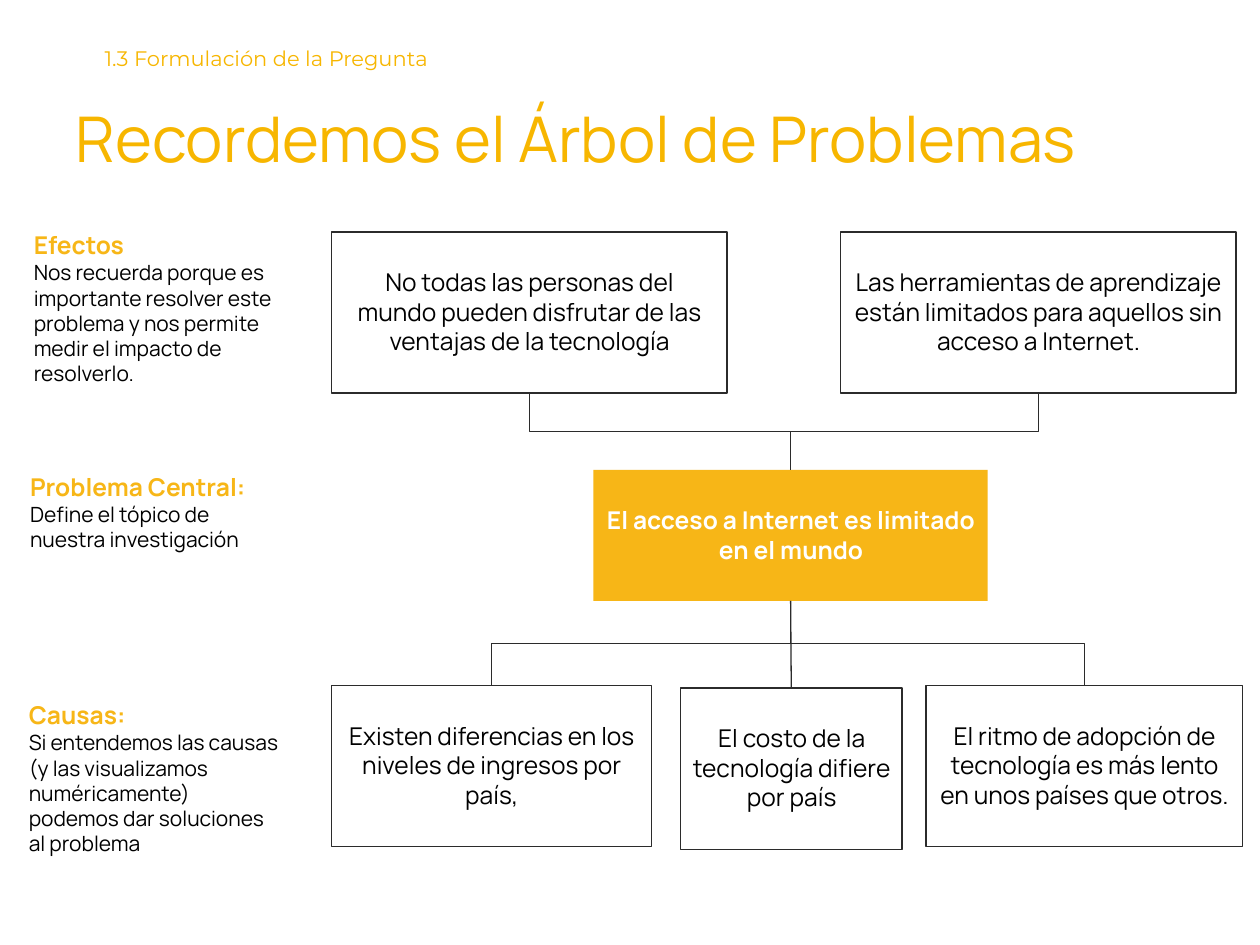
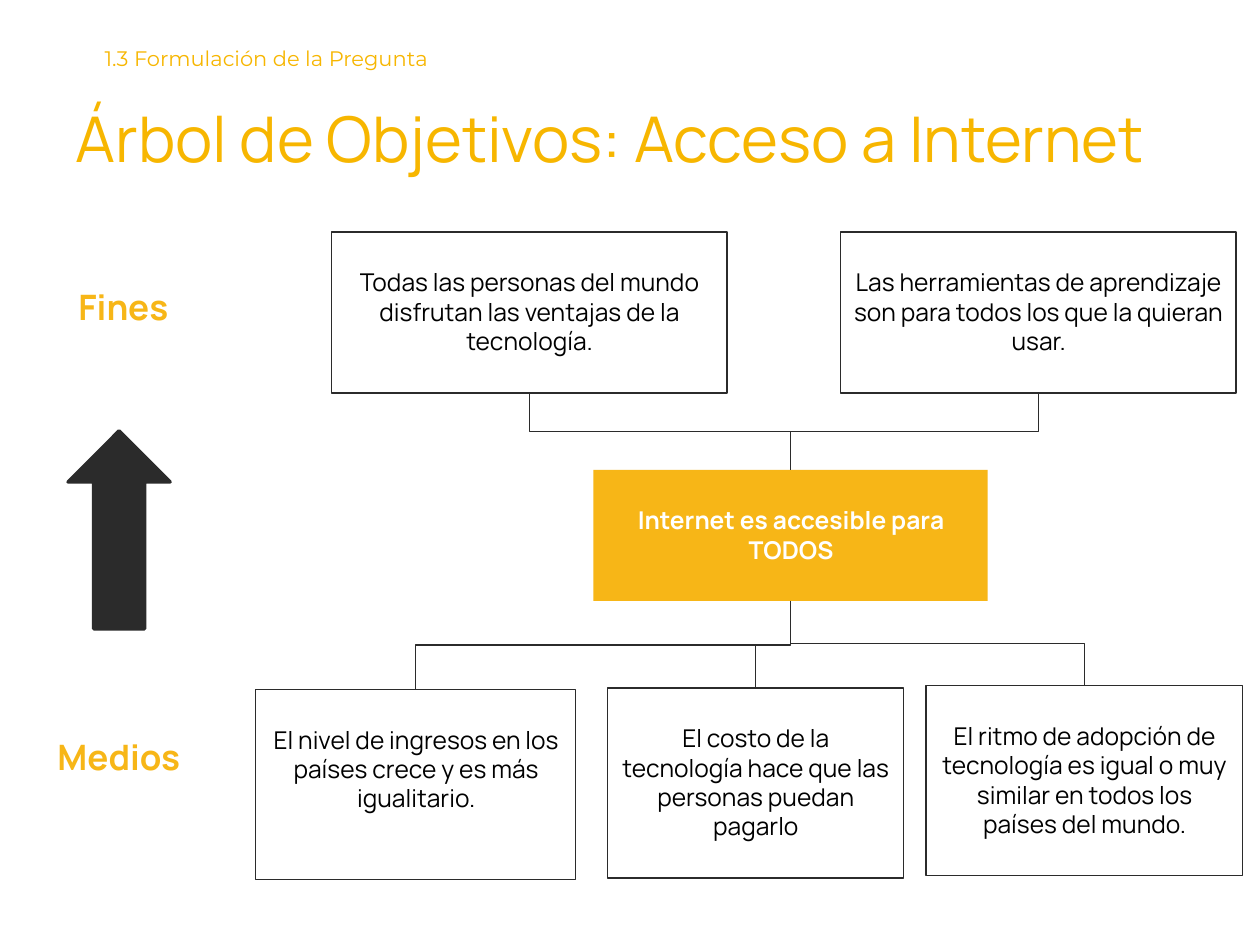
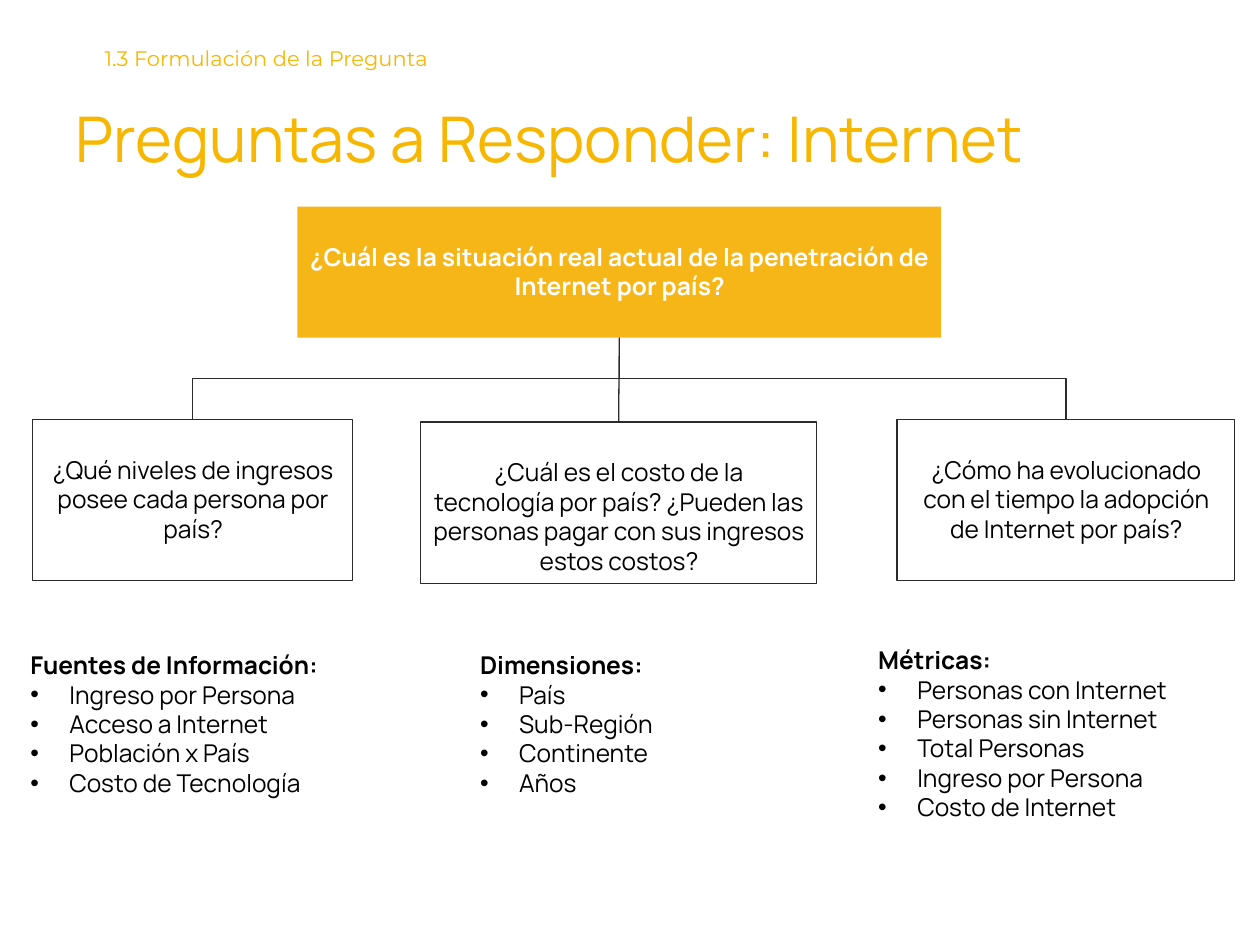
from lxml import etree
from pptx import Presentation, util as u
from pptx.dml.color import RGBColor
from pptx.enum import shapes, text
from pptx.oxml import ns

CELL = u.Inches(0.1)  # the page is a grid of 100 columns by 75 rows
TITLE_AND_CONTENT, COMPARISON = 1, 4
GOLD, AMBER, DARK, BLACK, WHITE = "F7B600", "F7B617", "2B2B2B", "000000", "FFFFFF"
LEFT, CENTER = text.PP_ALIGN.LEFT, text.PP_ALIGN.CENTER
TOP, MIDDLE = text.MSO_ANCHOR.TOP, text.MSO_ANCHOR.MIDDLE
BULLET_INDENT = u.Inches(0.31)


def color(hex_code):
    return RGBColor.from_string(hex_code)


def grid(*cells):
    return [round(cell * CELL) for cell in cells]


def line(words, size=14, ink=BLACK, bold=False, bullet=False, font="Manrope"):
    """Describe one paragraph."""
    return dict(words=words, size=size, ink=ink, bold=bold, bullet=bullet, font=font)


class Deck:
    def __init__(self):
        self.deck = Presentation()
        self.deck.slide_width, self.deck.slide_height = grid(100, 75)
        self.page = None

    def new_page(self, heading, layout=TITLE_AND_CONTENT):
        self.page = self.deck.slides.add_slide(self.deck.slide_layouts[layout])
        section = line("1.3 Formulación de la Pregunta", 12, GOLD, font="Montserrat")
        self.placeholder(0, (7.3, 2.3, 56.8, 4.7), [section], MIDDLE)
        self.placeholder(1, (5, 7.4, 92, 7.1), [line(heading, 36, GOLD)])

    def placeholder(self, index, place, lines, anchor=TOP):
        holder = self.page.placeholders[index]
        holder.left, holder.top, holder.width, holder.height = grid(*place)
        self.set_text(holder, lines, anchor=anchor)

    def set_text(self, shape, lines, align=LEFT, anchor=TOP, top_margin=0.05):
        frame = shape.text_frame
        frame.word_wrap = True
        frame.auto_size = text.MSO_AUTO_SIZE.NONE
        frame.vertical_anchor = anchor
        frame.margin_left, frame.margin_right = u.Inches(0.1), u.Inches(0.09)
        frame.margin_top, frame.margin_bottom = u.Inches(top_margin), u.Inches(0.05)
        for number, style in enumerate(lines):
            para = frame.add_paragraph() if number else frame.paragraphs[0]
            para.text = style["words"]
            para.alignment = align
            para.space_before = u.Pt(0)
            self.mark(para, style["bullet"])
            font = para.font
            font.name, font.size, font.bold = style["font"], u.Pt(style["size"]), style["bold"]
            font.color.rgb = color(style["ink"])

    def mark(self, para, bullet):
        """Set the bullet and its hanging indent, or clear both."""
        properties = para._p.get_or_add_pPr()
        indent = int(BULLET_INDENT) if bullet else 0
        properties.set("marL", str(indent))
        properties.set("indent", str(-indent))
        if bullet:
            etree.SubElement(properties, ns.qn("a:buFont")).set("typeface", "Arial")
            etree.SubElement(properties, ns.qn("a:buChar")).set("char", "•")
        else:
            etree.SubElement(properties, ns.qn("a:buNone"))

    def note(self, place, lines, align=LEFT):
        self.set_text(self.page.shapes.add_textbox(*grid(*place)), lines, align)

    def shape(self, kind, place, fill=None, outline=None, weight=0.75):
        shape = self.page.shapes.add_shape(kind, *grid(*place))
        shape.shadow.inherit = False
        if fill:
            shape.fill.solid()
            shape.fill.fore_color.rgb = color(fill)
        else:
            shape.fill.background()
        if outline:
            shape.line.color.rgb = color(outline)
            shape.line.width = u.Pt(weight)
        else:
            shape.line.fill.background()
        return shape

    def box(self, place, words, main=False):
        """Add a node of a tree; the main one is filled."""
        style = dict(fill=AMBER) if main else dict(outline=DARK)
        box = self.shape(shapes.MSO_SHAPE.RECTANGLE, place, **style)
        label = line(words, ink=WHITE if main else BLACK, bold=main)
        self.set_text(box, [label], CENTER, top_margin=0.28)
        return box

    def join(self, upper, lower):
        """Link the bottom of one box to the top of another."""
        x1, y1 = upper.left + upper.width // 2, upper.top + upper.height
        x2, y2 = lower.left + lower.width // 2, lower.top
        across, down = abs(x2 - x1), y2 - y1
        bent = across > CELL / 5
        kind = shapes.MSO_CONNECTOR.ELBOW if bent else shapes.MSO_CONNECTOR.STRAIGHT
        link = self.page.shapes.add_connector(kind, x1, y1, x2, y2)
        link.begin_connect(upper, 2)
        link.end_connect(lower, 0)
        link.line.color.rgb = color(DARK)
        link.line.width = u.Pt(0.75)
        etree.SubElement(link._element.spPr, ns.qn("a:effectLst"))
        if bent:  # a quarter turn makes the elbow leave and arrive vertically
            link.left, link.top = (x1 + x2 - down) // 2, (y1 + y2 - across) // 2
            link.width, link.height = down, across
            frame = link._element.spPr.find(ns.qn("a:xfrm"))
            frame.set("rot", "5400000")
            frame.set("flipH", "0")
            frame.set("flipV", "1" if x2 > x1 else "0")

    def tree(self, center, upper, lower):
        """Draw a central box with linked boxes above and below it."""
        middle = self.box(*center, main=True)
        for node in upper:
            self.join(self.box(*node), middle)
        for node in lower:
            self.join(middle, self.box(*node))


CENTER_PLACE = (47.1, 37.3, 31.3, 10.4)
UPPER_PLACES = [(left, 18.4, 31.4, 12.8) for left in (26.3, 66.7)]


def problem_tree(deck):
    deck.new_page("Recordemos el Árbol de Problemas")
    effects = ["No todas las personas del mundo pueden disfrutar de las ventajas de la tecnología",
               "Las herramientas de aprendizaje están limitados para aquellos sin acceso a Internet."]
    causes = [((26.3, 54.4, 25.4, 12.8), "Existen diferencias en los niveles de ingresos por país,"),
              ((54, 54.6, 17.6, 12.8), "El costo de la tecnología difiere por país"),
              ((73.5, 54.4, 25.1, 12.8),
               "El ritmo de adopción de tecnología es más lento en unos países que otros.")]
    deck.tree((CENTER_PLACE, "El acceso a Internet es limitado en el mundo"),
              zip(UPPER_PLACES, effects), causes)
    legend = [
        ((1.7, 17.8, 21.7, 13.5), "Efectos", "Nos recuerda porque es importante resolver este "
         "problema y nos permite medir el impacto de resolverlo."),
        ((1.4, 37, 21.7, 7.4), "Problema Central:", "Define el tópico de nuestra investigación"),
        ((1.3, 55.1, 21.8, 15.5), "Causas:", "Si entendemos las causas (y las visualizamos "
         "numéricamente) podemos dar soluciones al problema"),
    ]
    for place, name, meaning in legend:
        deck.note(place, [line(name, ink=AMBER, bold=True), line(meaning, 12)])


def objective_tree(deck):
    deck.new_page("Árbol de Objetivos: Acceso a Internet")
    ends = ["Todas las personas del mundo disfrutan las ventajas de la tecnología.",
            "Las herramientas de aprendizaje son para todos los que la quieran usar."]
    means = [((20.3, 54.7, 25.4, 15.1),
              "El nivel de ingresos en los países crece y es más igualitario."),
             ((48.2, 54.6, 23.5, 15.1),
              "El costo de la tecnología hace que las personas puedan pagarlo"),
             ((73.5, 54.4, 25.1, 15.1), "El ritmo de adopción de tecnología es igual o muy "
              "similar en todos los países del mundo.")]
    deck.tree((CENTER_PLACE, "Internet es accesible para TODOS"),
              zip(UPPER_PLACES, ends), means)
    for place, name in [((1, 22.2, 17.5, 4.4), "Fines"), ((0.6, 57.9, 17.6, 4.4), "Medios")]:
        deck.note(place, [line(name, 20, AMBER, True)], CENTER)
    arrow = deck.shape(shapes.MSO_SHAPE.RIGHT_ARROW, (1.6, 38, 15.7, 8.1), DARK, DARK, 2)
    arrow.rotation = 270


def questions(deck):
    deck.new_page("Preguntas a Responder: Internet", COMPARISON)
    details = [((2.6, 33.3, 25.4, 12.8), "¿Qué niveles de ingresos posee cada persona por país?"),
               ((33.4, 33.5, 31.4, 12.8), "¿Cuál es el costo de la tecnología por país? "
                "¿Pueden las personas pagar con sus ingresos estos costos?"),
               ((71.2, 33.3, 26.8, 12.8),
                "¿Cómo ha evolucionado con el tiempo la adopción de Internet por país?")]
    main_question = "¿Cuál es la situación real actual de la penetración de Internet por país?"
    deck.tree(((23.6, 16.4, 51.1, 10.4), main_question), [], details)
    lists = [
        ((1.4, 51.1, 29.8, 15.1), "Fuentes de Información:",
         ["Ingreso por Persona", "Acceso a Internet", "Población x País", "Costo de Tecnología"]),
        ((37.1, 51.1, 29.8, 17.5), "Dimensiones:", ["País", "Sub-Región", "Continente", "Años"]),
        ((68.7, 50.7, 29.8, 19.9), "Métricas:",
         ["Personas con Internet", "Personas sin Internet", "Total Personas",
          "Ingreso por Persona", "Costo de Internet"]),
    ]
    for index, (place, name, items) in enumerate(lists, start=2):
        bullets = [line(item, bullet=True) for item in items]
        deck.placeholder(index, place, [line(name, bold=True)] + bullets)


def main():
    deck = Deck()
    problem_tree(deck)
    objective_tree(deck)
    questions(deck)
    deck.deck.save("out.pptx")


if __name__ == "__main__":
    main()
